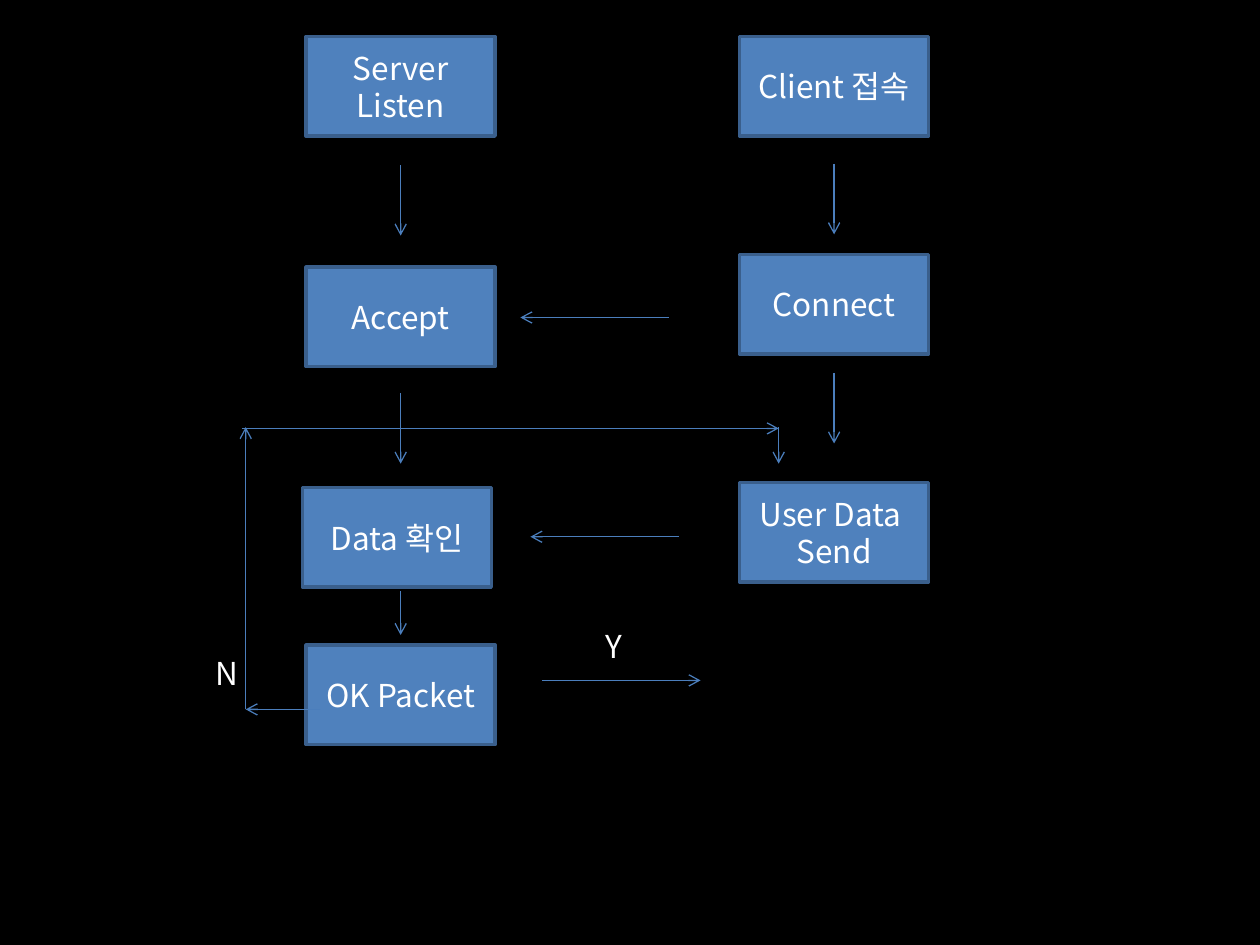
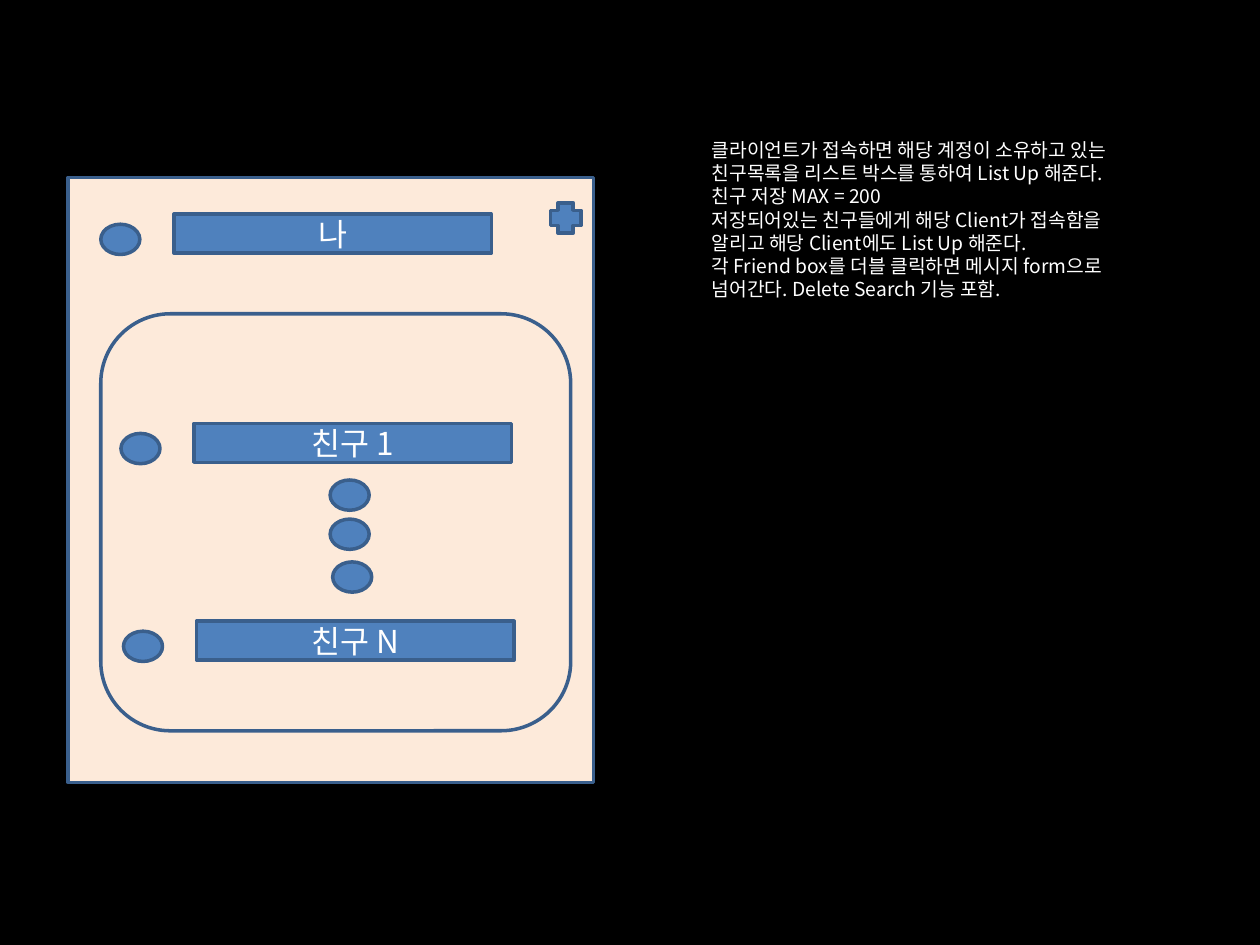
import pptx
import pptx.util
import pptx.dml.color
import pptx.enum.shapes
import pptx.enum.text
import pptx.oxml.ns
import lxml.etree

Inches = pptx.util.Inches
Pt = pptx.util.Pt
RGBColor = pptx.dml.color.RGBColor
SHAPE = pptx.enum.shapes.MSO_SHAPE
ALIGN = pptx.enum.text.PP_ALIGN
ANCHOR = pptx.enum.text.MSO_ANCHOR
qn = pptx.oxml.ns.qn

FONT = "Noto Sans CJK KR"
BLACK = RGBColor(0x00, 0x00, 0x00)
WHITE = RGBColor(0xFF, 0xFF, 0xFF)
BLUE = RGBColor(0x4F, 0x81, 0xBD)
EDGE = RGBColor(0x3A, 0x5F, 0x8C)
ARROW = RGBColor(0x4B, 0x7E, 0xBC)
CREAM = RGBColor(0xFD, 0xEA, 0xDA)

SERVER_X, CLIENT_X = 2.43, 5.87
STEP_SIZE = (1.5, 0.79)
STEPS = [
    ("Client 접속", CLIENT_X, 0.29),
    ("Server Listen", SERVER_X, 0.29),
    ("Connect", CLIENT_X, 2.02),
    ("Accept", SERVER_X, 2.12),
    ("User Data \nSend", CLIENT_X, 3.83),
    ("Data 확인", 2.4, 3.87),
    ("OK Packet", SERVER_X, 5.12),
]
SERVER_MID, CLIENT_MID = 3.18, 6.62
DOWN_ARROWS = [
    (SERVER_MID, 1.31, 0.56),
    (SERVER_MID, 3.12, 0.56),
    (SERVER_MID, 4.69, 0.35),
    (CLIENT_MID, 1.3, 0.56),
    (CLIENT_MID, 2.96, 0.56),
]
REPLY_ARROWS = [(5.31, 2.52, 4.13, 2.52), (5.39, 4.26, 4.21, 4.26), (4.3, 5.4, 5.56, 5.4)]
RETRY_ARROWS = [
    (2.54, 5.63, 1.95, 5.63),
    (1.95, 5.63, 1.95, 3.39),
    (1.92, 3.4, 6.18, 3.4),
    (6.18, 3.39, 6.18, 3.68),
]
ANSWERS = [("Y", 4.71, 4.93), ("N", 1.61, 5.14)]

WINDOW = (0.54, 1.41, 4.17, 4.8)
FRIEND_LIST = (0.8, 2.49, 3.73, 3.31)
ADD_BUTTON = (4.37, 1.61, 0.24, 0.24)
BAR_SIZE = (2.52, 0.31)
DOT_SIZE = (0.31, 0.24)
DOT_OFFSET = (-0.58, 0.08)
PEOPLE = [("나", 1.38, 1.7), ("친구 1", 1.54, 3.36), ("친구 N", 1.56, 4.93)]
MORE_DOTS = [(2.62, 3.81), (2.62, 4.12), (2.64, 4.46)]
NOTES = [
    "클라이언트가 접속하면 해당 계정이 소유하고 있는",
    "친구목록을 리스트 박스를 통하여 List Up 해준다.",
    "친구 저장 MAX = 200",
    "저장되어있는 친구들에게 해당 Client가 접속함을",
    "알리고 해당 Client에도 List Up 해준다.",
    "각 Friend box를 더블 클릭하면 메시지 form으로",
    "넘어간다. Delete Search 기능 포함.",
]


def add_slide(prs):
    s = prs.slides.add_slide(prs.slide_layouts[6])
    s.background.fill.solid()
    s.background.fill.fore_color.rgb = BLACK
    return s


def write(tf, text, size, align):
    tf.text = text
    for p in tf.paragraphs:
        p.alignment = align
        for r in p.runs:
            r.font.size = Pt(size)
            r.font.name = FONT
            r.font.color.rgb = WHITE
            ea = lxml.etree.SubElement(r.font._element, qn("a:ea"))
            ea.set("typeface", FONT)


def add_box(s, kind, x, y, w, h, text="", fill=BLUE):
    sp = s.shapes.add_shape(kind, Inches(x), Inches(y), Inches(w), Inches(h))
    sp.shadow.inherit = False
    sp.fill.solid()
    sp.fill.fore_color.rgb = fill
    sp.line.color.rgb = EDGE
    sp.line.width = Pt(2)
    if text:
        sp.text_frame.vertical_anchor = ANCHOR.MIDDLE
        write(sp.text_frame, text, 18, ALIGN.CENTER)


def add_label(s, text, x, y, w, h, size):
    sp = s.shapes.add_textbox(Inches(x), Inches(y), Inches(w), Inches(h))
    sp.text_frame.word_wrap = True
    write(sp.text_frame, text, size, ALIGN.LEFT)
    sp.text_frame.auto_size = pptx.enum.text.MSO_AUTO_SIZE.SHAPE_TO_FIT_TEXT


def add_arrow(s, *ends):
    straight = pptx.enum.shapes.MSO_CONNECTOR.STRAIGHT
    cxn = s.shapes.add_connector(straight, *[Inches(v) for v in ends])
    cxn.line.color.rgb = ARROW
    cxn.line.width = Pt(0.75)
    sp_pr = cxn._element.spPr
    tail = lxml.etree.SubElement(sp_pr.find(qn("a:ln")), qn("a:tailEnd"))
    tail.set("type", "arrow")
    lxml.etree.SubElement(sp_pr, qn("a:effectLst"))


def build_packet_flow(prs):
    s = add_slide(prs)
    for text, x, y in STEPS:
        add_box(s, SHAPE.RECTANGLE, x, y, *STEP_SIZE, text)
    for x, y, length in DOWN_ARROWS:
        add_arrow(s, x, y, x, y + length)
    for ends in REPLY_ARROWS + RETRY_ARROWS:
        add_arrow(s, *ends)
    for text, x, y in ANSWERS:
        add_label(s, text, x, y, 0.34, 0.4, 18)


def build_friend_window(prs):
    s = add_slide(prs)
    add_box(s, SHAPE.RECTANGLE, *WINDOW, fill=CREAM)
    add_box(s, SHAPE.ROUNDED_RECTANGLE, *FRIEND_LIST, fill=CREAM)
    dx, dy = DOT_OFFSET
    for name, x, y in PEOPLE:
        add_box(s, SHAPE.OVAL, x + dx, y + dy, *DOT_SIZE)
        add_box(s, SHAPE.RECTANGLE, x, y, *BAR_SIZE, name)
    for x, y in MORE_DOTS:
        add_box(s, SHAPE.OVAL, x, y, *DOT_SIZE)
    add_label(s, "\n".join(NOTES), 5.55, 1.05, 3.86, 1.4, 11)
    add_box(s, SHAPE.CROSS, *ADD_BUTTON)


def main():
    prs = pptx.Presentation()
    prs.slide_width, prs.slide_height = Inches(10), Inches(7.5)
    build_packet_flow(prs)
    build_friend_window(prs)
    prs.save("out.pptx")


if __name__ == "__main__":
    main()
